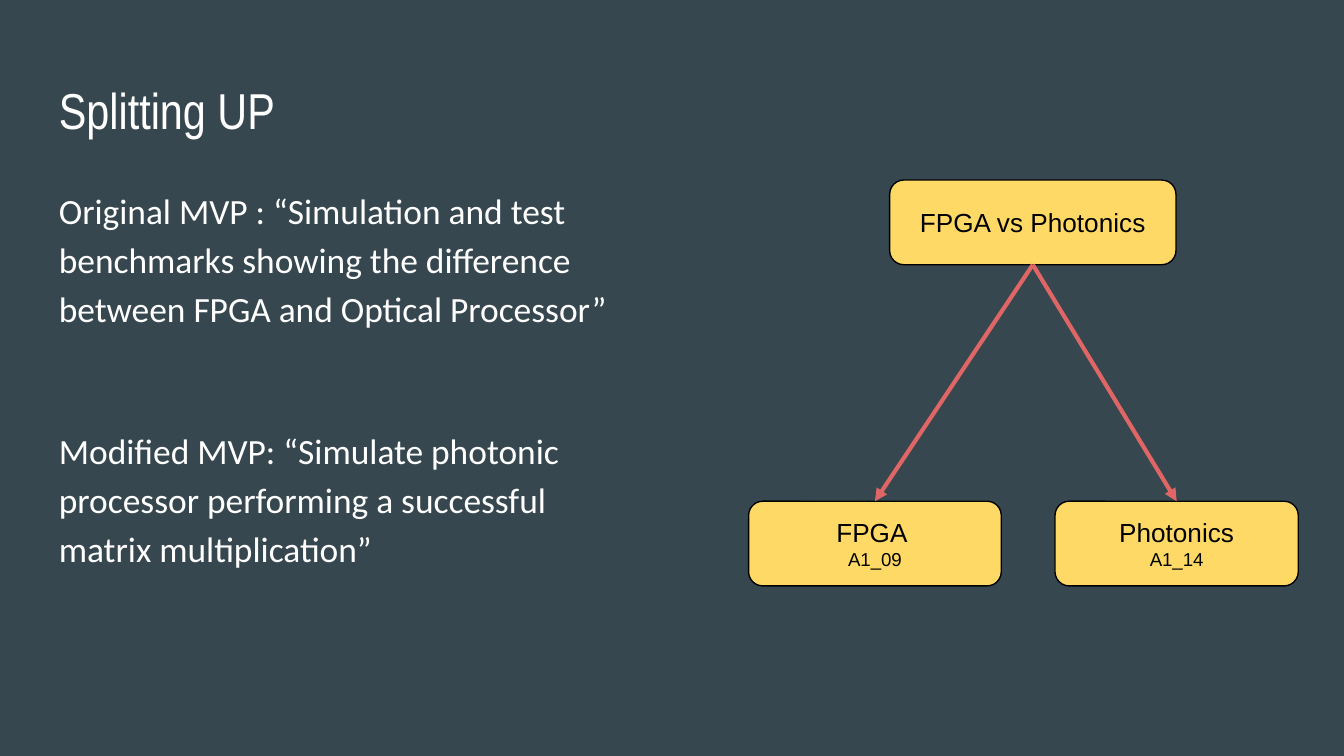
from dataclasses import dataclass

from lxml.etree import SubElement
from pptx import Presentation
from pptx.dml.color import RGBColor
from pptx.enum.shapes import MSO_CONNECTOR, MSO_SHAPE
from pptx.enum.text import MSO_ANCHOR, PP_ALIGN
from pptx.oxml.ns import qn
from pptx.util import Inches, Pt


@dataclass(frozen=True)
class Theme:
    background: str = "37474F"
    light: str = "FFFFFF"
    dark: str = "000000"
    box: str = "FFD966"
    arrow: str = "E06666"
    title_font: str = "Arial Narrow"
    body_font: str = "Calibri"
    box_font: str = "Arial"
    title_size: float = 27
    body_size: float = 19
    label_size: float = 14
    team_size: float = 10
    outline: float = 0.75
    arrow_width: float = 2.25
    inset: float = 0.1


class SlideBuilder:
    def __init__(self, slide, theme):
        self.slide = slide
        self.theme = theme
        fill = slide.background.fill
        fill.solid()
        fill.fore_color.rgb = RGBColor.from_string(theme.background)

    def prepare_frame(self, shape, anchor):
        frame = shape.text_frame
        frame.word_wrap = True
        frame.vertical_anchor = anchor
        inset = Inches(self.theme.inset)
        frame.margin_left = frame.margin_right = inset
        frame.margin_top = frame.margin_bottom = inset
        return frame

    def add_paragraph(self, frame, index, text, font, size, color):
        paragraph = frame.add_paragraph() if index else frame.paragraphs[0]
        run = paragraph.add_run()
        run.text = text
        run.font.name = font
        run.font.size = Pt(size)
        run.font.color.rgb = RGBColor.from_string(color)
        return paragraph

    def text(self, area, texts, font, size, spacing=1.0, gap=0):
        shape = self.slide.shapes.add_textbox(*map(Inches, area))
        frame = self.prepare_frame(shape, MSO_ANCHOR.TOP)
        for index, text in enumerate(texts):
            paragraph = self.add_paragraph(
                frame, index, text, font, size, self.theme.light)
            paragraph.line_spacing = spacing
            paragraph.space_before = Pt(gap if index else 0)

    def box(self, area, label, team=None):
        theme = self.theme
        shape = self.slide.shapes.add_shape(
            MSO_SHAPE.ROUNDED_RECTANGLE, *map(Inches, area))
        shape.shadow.inherit = False
        shape.fill.solid()
        shape.fill.fore_color.rgb = RGBColor.from_string(theme.box)
        shape.line.color.rgb = RGBColor.from_string(theme.dark)
        shape.line.width = Pt(theme.outline)
        frame = self.prepare_frame(shape, MSO_ANCHOR.MIDDLE)
        lines = [(label, theme.label_size)]
        if team:
            lines.append((team, theme.team_size))
        for index, (text, size) in enumerate(lines):
            paragraph = self.add_paragraph(
                frame, index, text, theme.box_font, size, theme.dark)
            paragraph.alignment = PP_ALIGN.CENTER
        return shape

    def arrow(self, parent, child):
        connector = self.slide.shapes.add_connector(
            MSO_CONNECTOR.STRAIGHT, 0, 0, 0, 0)
        connector.begin_connect(parent, 2)
        connector.end_connect(child, 0)
        connector.line.color.rgb = RGBColor.from_string(self.theme.arrow)
        connector.line.width = Pt(self.theme.arrow_width)
        properties = connector.element.spPr
        SubElement(properties.find(qn("a:ln")), qn("a:tailEnd"), type="triangle")
        SubElement(properties, qn("a:effectLst"))


def main():
    slide_width = 10
    presentation = Presentation()
    presentation.slide_width = Inches(slide_width)
    presentation.slide_height = Inches(slide_width * 9 / 16)
    slide = presentation.slides.add_slide(presentation.slide_layouts[6])
    theme = Theme()
    builder = SlideBuilder(slide, theme)

    builder.text((0.34, 0.49, 9.32, 0.63), ["Splitting UP"],
                 theme.title_font, theme.title_size)
    goals = [
        "Original MVP : “Simulation and test benchmarks showing the "
        "difference between FPGA and Optical Processor”",
        "Modified MVP: “Simulate photonic processor performing a "
        "successful matrix multiplication”",
    ]
    builder.text((0.34, 1.26, 4.37, 3.74), goals,
                 theme.body_font, theme.body_size, spacing=1.15, gap=50)

    box_height = 0.63
    team_top = 3.73
    project = builder.box((6.62, 1.34, 2.13, box_height), "FPGA vs Photonics")
    teams = [
        (5.57, 1.88, "FPGA ", "A1_09"),
        (7.85, 1.81, "Photonics", "A1_14"),
    ]
    team_boxes = [
        builder.box((left, team_top, width, box_height), label, team)
        for left, width, label, team in teams
    ]
    for team_box in team_boxes:
        builder.arrow(project, team_box)

    presentation.save("out.pptx")


if __name__ == "__main__":
    main()
